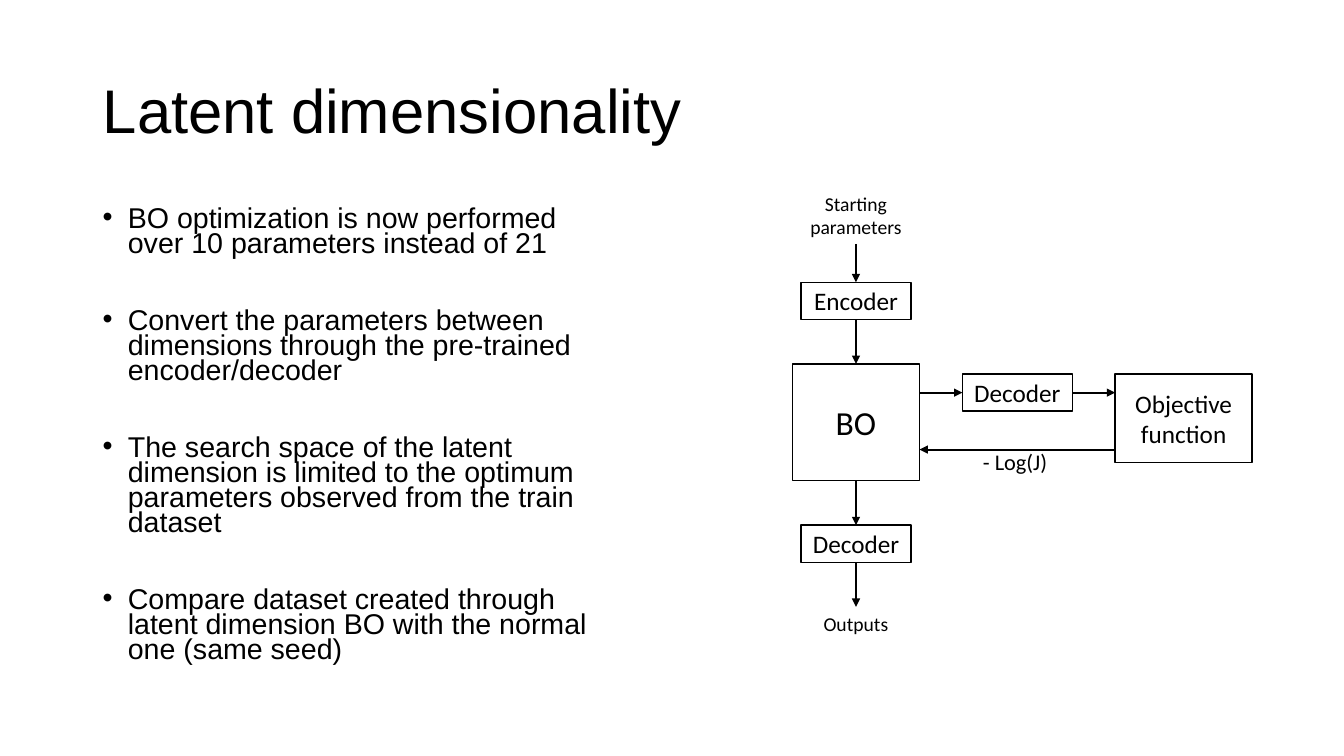
from collections import namedtuple

from lxml import etree
from pptx import Presentation
from pptx.dml.color import RGBColor
from pptx.enum.shapes import MSO_CONNECTOR, MSO_SHAPE
from pptx.enum.text import MSO_ANCHOR, MSO_AUTO_SIZE, PP_ALIGN
from pptx.oxml.ns import qn
from pptx.util import Inches, Pt

STRAIGHT, RECTANGLE = MSO_CONNECTOR.STRAIGHT, MSO_SHAPE.RECTANGLE
TOP_ANCHOR, MIDDLE = MSO_ANCHOR.TOP, MSO_ANCHOR.MIDDLE
LEFT_ALIGN, CENTER = PP_ALIGN.LEFT, PP_ALIGN.CENTER
NO_FIT = MSO_AUTO_SIZE.NONE
TOP, LEFT, BOTTOM, RIGHT = range(4)

COLORS = {"ink": "000000"}
HEADING_FONT, DIAGRAM_FONT = "Arial", "Calibri"
Box = namedtuple("Box", "left top width height")

BULLETS = [
    "BO optimization is now performed over 10 parameters instead of 21",
    "Convert the parameters between dimensions through the pre-trained encoder/decoder",
    "The search space of the latent dimension is limited to the optimum "
    "parameters observed from the train dataset",
    "Compare dataset created through latent dimension BO with the normal one (same seed)",
]


def ink():
    return RGBColor.from_string(COLORS["ink"])


def inches(box):
    return [Inches(length) for length in box]


def add_span(para, text, font, size):
    span = para.add_run()
    span.text = text
    span.font.name, span.font.size = font, Pt(size)
    span.font.color.rgb = ink()


def add_title(page, box, text):
    title = page.shapes.title
    title.left, title.top, title.width, title.height = inches(box)
    frame = title.text_frame
    frame.auto_size, frame.vertical_anchor = NO_FIT, MIDDLE
    para = frame.paragraphs[0]
    para.alignment, para.line_spacing = LEFT_ALIGN, 0.9
    add_span(para, text, HEADING_FONT, 44)


def add_bullets(page, box, texts):
    frame = page.shapes.add_textbox(*inches(box)).text_frame
    frame.word_wrap = True
    for index, text in enumerate(texts):
        para = frame.add_paragraph() if index else frame.paragraphs[0]
        properties = para._p.get_or_add_pPr()
        properties.set("marL", str(Inches(0.25)))
        properties.set("indent", str(-Inches(0.25)))
        etree.SubElement(properties, qn("a:buFont"), typeface=HEADING_FONT)
        etree.SubElement(properties, qn("a:buChar"), char="•")
        para.line_spacing = 0.73
        if index:
            para.space_before = Pt(37)
        add_span(para, text, HEADING_FONT, 20.4)


def write_lines(shape, lines, size, alignment=CENTER, anchor=MIDDLE):
    frame = shape.text_frame
    frame.vertical_anchor = anchor
    para = frame.paragraphs[0]
    para.alignment = alignment
    for index, line in enumerate(lines):
        if index:
            para.add_line_break()
        add_span(para, line, DIAGRAM_FONT, size)


def add_block(page, box, text, size=18):
    block = page.shapes.add_shape(RECTANGLE, *inches(box))
    block.shadow.inherit = False
    block.fill.background()
    block.line.color.rgb, block.line.width = ink(), Pt(1)
    block.text_frame.word_wrap = True
    write_lines(block, [text], size)
    return block


def add_label(page, box, lines, size=14, alignment=CENTER, wrap=True):
    label = page.shapes.add_textbox(*inches(box))
    label.text_frame.word_wrap = wrap
    write_lines(label, lines, size, alignment, TOP_ANCHOR)
    return label


def add_arrow(page, start=(0, 0), end=(0, 0), source=None, target=None):
    """Draw an arrow; source and target are (shape, side) pairs that override the points."""
    arrow = page.shapes.add_connector(STRAIGHT, *inches(start + end))
    if source:
        arrow.begin_connect(*source)
    if target:
        arrow.end_connect(*target)
    arrow.line.color.rgb, arrow.line.width = ink(), Pt(1.5)
    etree.SubElement(arrow.line._get_or_add_ln(), qn("a:tailEnd"), type="triangle")
    etree.SubElement(arrow._element.spPr, qn("a:effectLst"))


def add_diagram(page, box):
    left, top, width, height = box
    column = 1.26
    coder_width, coder_height = 1.09, 0.37
    coder_left = left + (column - coder_width) / 2
    loop_top = top + 1.86
    forward_y = loop_top + coder_height / 2
    feedback_y = top + 2.61
    objective_left = left + width - 1.36

    start = add_label(page, Box(left, top, column, 0.57), ["Starting", "parameters"])
    encoder = add_block(page, Box(coder_left, top + 0.95, coder_width, coder_height), "Encoder")
    optimizer = add_block(page, Box(left, top + 1.76, column, 1.16), "BO", 24)
    decoder = add_block(page, Box(coder_left, top + 3.36, coder_width, coder_height), "Decoder")
    outputs = add_label(page, Box(left, top + height - 0.34, column, 0.34), ["Outputs"])
    stack = [start, encoder, optimizer, decoder, outputs]
    for upper, lower in zip(stack, stack[1:]):
        add_arrow(page, source=(upper, BOTTOM), target=(lower, TOP))

    loop_left = (left + column + objective_left - coder_width) / 2
    loop_decoder = add_block(page, Box(loop_left, loop_top, coder_width, coder_height), "Decoder")
    add_block(page, Box(objective_left, loop_top, 1.36, 0.88), "Objective function")
    add_arrow(page, start=(left + column, forward_y), target=(loop_decoder, LEFT))
    add_arrow(page, end=(objective_left, forward_y), source=(loop_decoder, RIGHT))
    add_arrow(page, (objective_left, feedback_y), (left + column, feedback_y))
    add_label(page, Box(left + 1.79, feedback_y - 0.06, 0.88, 0.37), ["- Log(J)"],
              16, LEFT_ALIGN, wrap=False)


def main():
    deck = Presentation()
    deck.slide_width, deck.slide_height = Inches(13.33), Inches(7.5)
    page = deck.slides.add_slide(deck.slide_layouts.get_by_name("Title Only"))
    add_title(page, Box(0.92, 0.4, 11.5, 1.45), "Latent dimensionality")
    add_bullets(page, Box(0.92, 2.02, 5.24, 4.76), BULLETS)
    add_diagram(page, Box(7.86, 1.85, 4.56, 4.51))
    deck.save("out.pptx")


if __name__ == "__main__":
    main()
